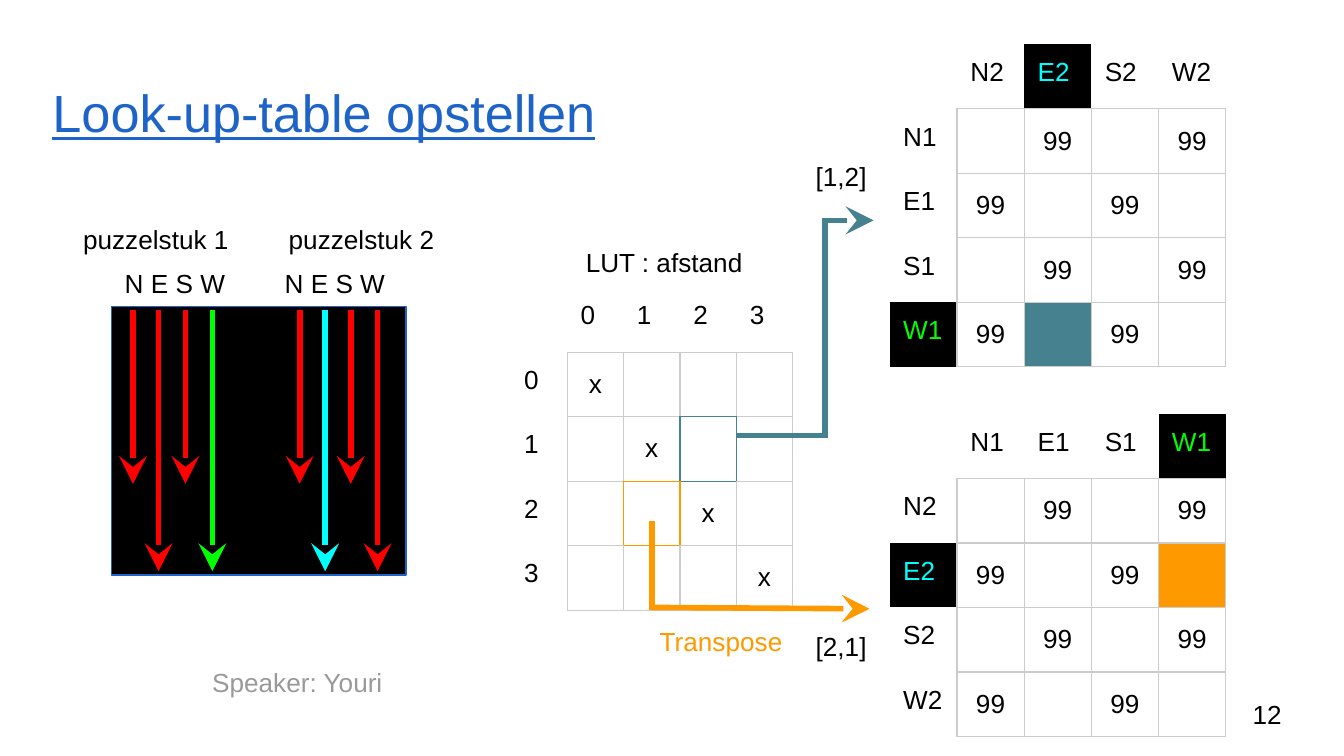
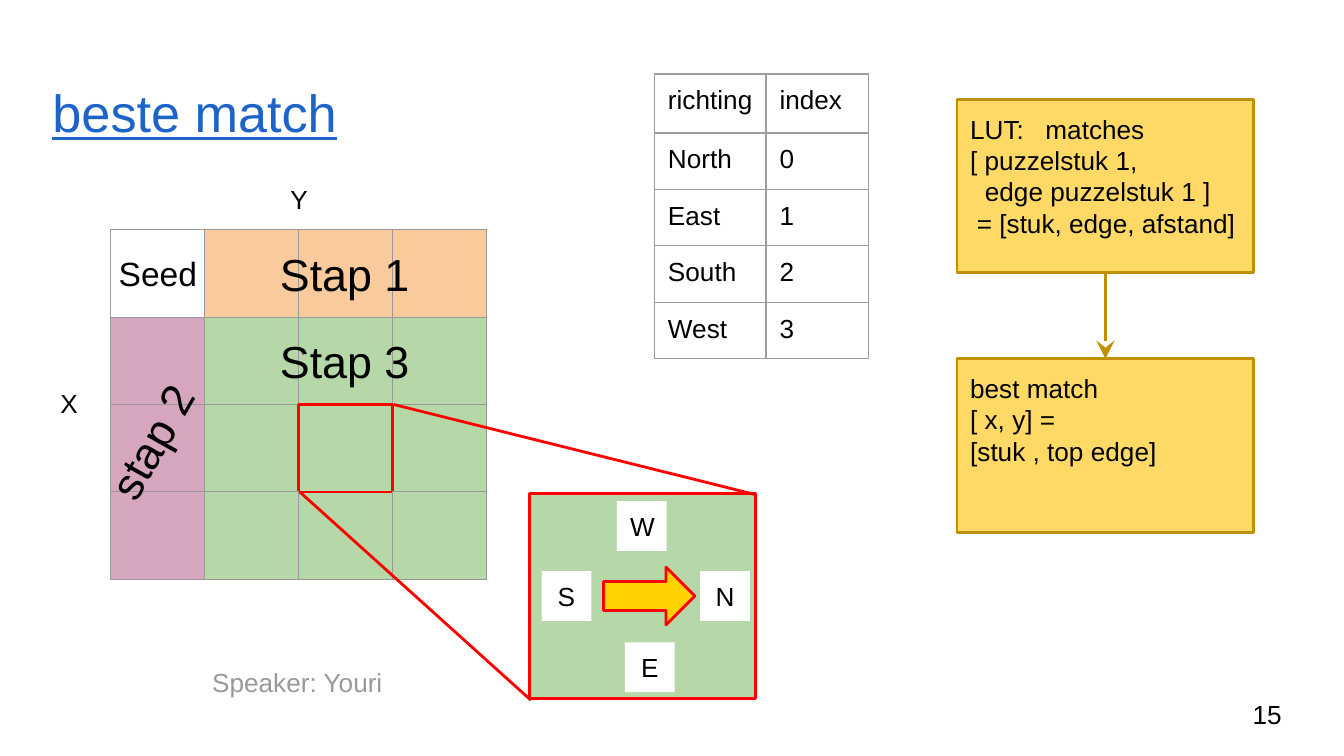
"""Build two slides on the look-up table and the best match of puzzle pieces."""
from lxml.etree import SubElement
from pptx import Presentation
from pptx.dml.color import RGBColor
from pptx.enum.shapes import MSO_CONNECTOR, MSO_SHAPE
from pptx.enum.text import MSO_ANCHOR, PP_ALIGN
from pptx.oxml.ns import qn
from pptx.util import Inches, Pt

rgb = RGBColor.from_string
BLACK, WHITE, RED, GREEN, CYAN = "000000", "FFFFFF", "FF0000", "00FF00", "00FFFF"
BLUE, TEAL, ORANGE, GREY = "1E64C8", "45818E", "FF9900", "999999"
LEAF, PEACH, MAUVE, YELLOW, GOLD = "B6D7A8", "F9CB9C", "D5A6BD", "FFD966", "BF9000"
NO_STYLE = "{2D5ABB26-0587-4C30-8999-92F81FD0307C}"


def write(holder, lines, size=14, color=BLACK, centered=False, anchor=None, inset=(0.1, 0.1)):
    """Fill a text frame or table cell with one paragraph per line."""
    frame = getattr(holder, "text_frame", holder)
    frame.word_wrap = True
    holder.margin_left = holder.margin_right = Inches(inset[0])
    holder.margin_top = holder.margin_bottom = Inches(inset[1])
    holder.vertical_anchor = anchor or (MSO_ANCHOR.MIDDLE if centered else MSO_ANCHOR.TOP)
    for number, line in enumerate(lines):
        paragraph = frame.add_paragraph() if number else frame.paragraphs[0]
        paragraph.alignment = PP_ALIGN.CENTER if centered else PP_ALIGN.LEFT
        run = paragraph.add_run()
        run.text = line
        run.font.name = "Arial"
        run.font.size = Pt(size)
        run.font.color.rgb = rgb(color)


def connect(slide, start, end, color, width, arrow=False):
    """Draw a straight line, with an arrowhead at its end if asked."""
    ends = [Inches(value) for value in (*start, *end)]
    line = slide.shapes.add_connector(MSO_CONNECTOR.STRAIGHT, *ends)
    line.line.color.rgb = rgb(color)
    line.line.width = Pt(width)
    if arrow:
        SubElement(line.line._get_or_add_ln(), qn("a:tailEnd"), type="stealth", w="lg", len="lg")
    SubElement(line._element.spPr, qn("a:effectLst"))
    return line


deck = Presentation()
deck.slide_width = Inches(10)
deck.slide_height = deck.slide_width * 9 // 16
lookup, match = [deck.slides.add_slide(deck.slide_layouts[6]) for _ in range(2)]

for slide, heading, number in ((lookup, "Look-up-table opstellen", "12"), (match, "beste match", "15")):
    title = slide.shapes.add_textbox(Inches(0.34), Inches(0.49), Inches(9.32), Inches(0.63)).text_frame
    write(title, [heading], 28, BLUE, anchor=MSO_ANCHOR.BOTTOM, inset=(0.05, 0.05))
    title.paragraphs[0].line_spacing = 0.9
    title.paragraphs[0].runs[0].font.underline = True
    footer = slide.shapes.add_textbox(Inches(9.27), Inches(5.1), Inches(0.6), Inches(0.43)).text_frame
    write(footer, [number], anchor=MSO_ANCHOR.MIDDLE, inset=(0.05, 0.03))

distances = [["", "0", "1", "2", "3"]]
for row in range(4):
    distances.append([str(row)] + ["x" if row == column else "" for column in range(4)])

edges = {}
for down, across in ((1, 2), (2, 1)):
    edges[down] = [[""] + [f"{side}{across}" for side in "NESW"]]
    for row, side in enumerate("NESW"):
        edges[down].append([f"{side}{down}"] + ["" if (row + column) % 2 == 0 else "99" for column in range(4)])

directions = [["richting", "index"], ["North", "0"], ["East", "1"], ["South", "2"], ["West", "3"]]
steps = {(row, column): LEAF for row in range(1, 4) for column in range(1, 4)}
steps.update({(0, column): PEACH for column in range(1, 4)})
steps.update({(row, 0): MAUVE for row in range(1, 4)})
highlights = {"W1": GREEN, "E2": CYAN}

tables = (
    (lookup, 3.8, 2.14, [0.42] * 5, [0.48] * 5, "CCCCCC", True, distances, {},
     {(2, 3): (TEAL, 0.75), (3, 2): (ORANGE, 0.75)}),
    (lookup, 6.62, 3.08, [0.5] * 5, [0.48] * 5, "CCCCCC", True, edges[2], {(2, 4): ORANGE}, {}),
    (lookup, 6.62, 0.33, [0.5] * 5, [0.48] * 5, "CCCCCC", True, edges[1], {(4, 2): TEAL}, {}),
    (match, 0.82, 1.71, [0.7] * 4, [0.65] * 4, GREY, False, [[""] * 4] * 4, steps, {(2, 2): (RED, 1.5)}),
    (match, 4.87, 0.55, [0.83, 0.76], [0.44] + [0.42] * 4, "9E9E9E", False, directions, {}, {}),
)
for slide, left, top, widths, heights, border, headed, rows, fills, accents in tables:
    table = slide.shapes.add_table(len(heights), len(widths), Inches(left), Inches(top),
                                   Inches(sum(widths)), Inches(sum(heights))).table
    table.first_row = table.horz_banding = False
    table._tbl.tblPr.find(qn("a:tableStyleId")).text = NO_STYLE
    for column, width in zip(table.columns, widths):
        column.width = Inches(width)
    for row, height in zip(table.rows, heights):
        row.height = Inches(height)
    body = {(r, c) for r in range(headed, len(heights)) for c in range(headed, len(widths))}
    for r, texts in enumerate(rows):
        for c, text in enumerate(texts):
            cell = table.cell(r, c)
            properties = cell._tc.get_or_add_tcPr()
            for side, dr, dc in (("L", 0, -1), ("R", 0, 1), ("T", -1, 0), ("B", 1, 0)):
                beyond = (r + dr, c + dc)
                color, weight = accents.get((r, c)) or accents.get(beyond) or (border, 0.75)
                edge = SubElement(properties, qn(f"a:ln{side}"), w=str(Pt(weight)))
                if (r, c) in body or beyond in body:
                    SubElement(SubElement(edge, qn("a:solidFill")), qn("a:srgbClr"), val=color)
                else:
                    SubElement(edge, qn("a:noFill"))
            fill = BLACK if text in highlights else fills.get((r, c))
            if fill:
                cell.fill.solid()
                cell.fill.fore_color.rgb = rgb(fill)
            else:
                cell.fill.background()
            if text:
                write(cell, [text], color=highlights.get(text, BLACK), centered=headed and (r, c) in body,
                      inset=(0.1, 0.1 if headed else 0.09))

matches_lines = ["LUT:\tmatches", "[ puzzelstuk 1,", "edge puzzelstuk 1 ]", "= [stuk, edge, afstand]"]
best_lines = ["best match", "[ x, y] =", "[stuk , top edge]"]
RECT = MSO_SHAPE.RECTANGLE
panels = [
    (lookup, RECT, 0.83, 2.28, 2.19, 2, BLACK, BLUE, 0.75, [], False),
    (match, RECT, 3.94, 3.67, 1.68, 1.53, LEAF, RED, 1.5, [], False),
    (match, MSO_SHAPE.RIGHT_ARROW, 4.49, 4.22, 0.68, 0.43, "FFD200", RED, 1.5, [], False),
    (match, RECT, 7.12, 0.74, 2.21, 1.29, YELLOW, GOLD, 1.5, matches_lines, False),
    (match, RECT, 7.12, 2.67, 2.21, 1.29, YELLOW, GOLD, 1.5, best_lines, False),
]
for letter, left, top in (("N", 5.21, 4.25), ("W", 4.59, 3.73), ("E", 4.65, 4.78), ("S", 4.03, 4.25)):
    panels.append((match, RECT, left, top, 0.37, 0.37, WHITE, None, 0, [letter], True))

drawn = []
for slide, kind, left, top, width, height, fill, outline, weight, lines, centered in panels:
    panel = slide.shapes.add_shape(kind, Inches(left), Inches(top), Inches(width), Inches(height))
    panel.shadow.inherit = False
    panel.fill.solid()
    panel.fill.fore_color.rgb = rgb(fill)
    if outline:
        panel.line.color.rgb = rgb(outline)
        panel.line.width = Pt(weight)
    else:
        panel.line.fill.background()
    write(panel.text_frame, lines, centered=centered)
    drawn.append(panel)

matches_box, best_box = drawn[3:5]
heading, _, piece_edge, result = [p._p.get_or_add_pPr() for p in matches_box.text_frame.paragraphs]
SubElement(SubElement(heading, qn("a:tabLst")), qn("a:tab"), pos=str(Inches(0.56)), algn="l")
piece_edge.set("marL", str(Inches(0.11)))
result.set("marL", str(Inches(0.05)))

flow = connect(match, (8.23, 2.03), (8.23, 2.67), GOLD, 1.5, True)
flow.begin_connect(matches_box, 2)
flow.end_connect(best_box, 0)
connect(match, (2.93, 3.01), (5.62, 3.68), RED, 1.5)
connect(match, (2.23, 3.66), (3.95, 5.21), RED, 1.5)

piece_sides = (
    ((0.99, 1.18, 1.38, 1.58), (RED, RED, RED, GREEN)),
    ((2.23, 2.42, 2.61, 2.81), (RED, CYAN, RED, RED)),
)
for lefts, colors in piece_sides:
    for x, bottom, color in zip(lefts, (3.6, 4.25, 3.6, 4.25), colors):
        connect(lookup, (x, 2.31), (x, bottom), color, 3, True)

connect(lookup, (4.85, 3.88), (4.85, 4.53), ORANGE, 3)
connect(lookup, (4.83, 4.52), (6.47, 4.53), ORANGE, 3, True)
connect(lookup, (5.48, 3.24), (6.14, 3.24), TEAL, 3)
connect(lookup, (6.14, 3.26), (6.14, 1.62), TEAL, 3)
connect(lookup, (6.15, 1.64), (6.5, 1.64), TEAL, 3, True)

captions = (
    (lookup, "N E S W", 0.83, 1.89, 1, 0.37, 14, BLACK, False, 0),
    (lookup, "N E S W", 2.02, 1.89, 1, 0.37, 14, BLACK, False, 0),
    (lookup, "puzzelstuk 1", 0.49, 1.57, 1.34, 0.41, 14, BLACK, True, 0),
    (lookup, "puzzelstuk 2", 2.02, 1.57, 1.34, 0.41, 14, BLACK, True, 0),
    (lookup, "[1,2]", 5.97, 1.09, 0.62, 0.43, 14, BLACK, False, 0),
    (lookup, "[2,1]", 5.97, 4.59, 0.62, 0.43, 14, BLACK, False, 0),
    (lookup, "LUT : afstand", 4.26, 1.73, 1.38, 0.43, 14, BLACK, False, 0),
    (lookup, "Transpose", 4.81, 4.55, 1.14, 0.5, 14, ORANGE, False, 0),
    (lookup, "Speaker: Youri", 1.48, 4.86, 2.58, 0.47, 14, GREY, False, 0),
    (match, "Stap 1", 1.51, 1.71, 2.11, 0.65, 24, BLACK, True, 0),
    (match, "stap 2", 0.16, 2.93, 1.93, 0.71, 24, BLACK, True, 299.6),
    (match, "Stap 3", 1.51, 2.36, 2.11, 0.65, 24, BLACK, True, 0),
    (match, "Seed", 0.71, 1.7, 0.93, 0.66, 18, BLACK, True, 0),
    (match, "X", 0.31, 2.74, 0.41, 0.52, 14, BLACK, True, 0),
    (match, "Y", 2.04, 1.31, 0.37, 0.34, 14, BLACK, True, 0),
    (match, "Speaker: Youri", 1.48, 4.86, 2.58, 0.47, 14, GREY, False, 0),
)
for slide, text, left, top, width, height, size, color, centered, angle in captions:
    caption = slide.shapes.add_textbox(Inches(left), Inches(top), Inches(width), Inches(height))
    caption.rotation = angle
    write(caption.text_frame, [text], size, color, centered)

deck.save("out.pptx")
